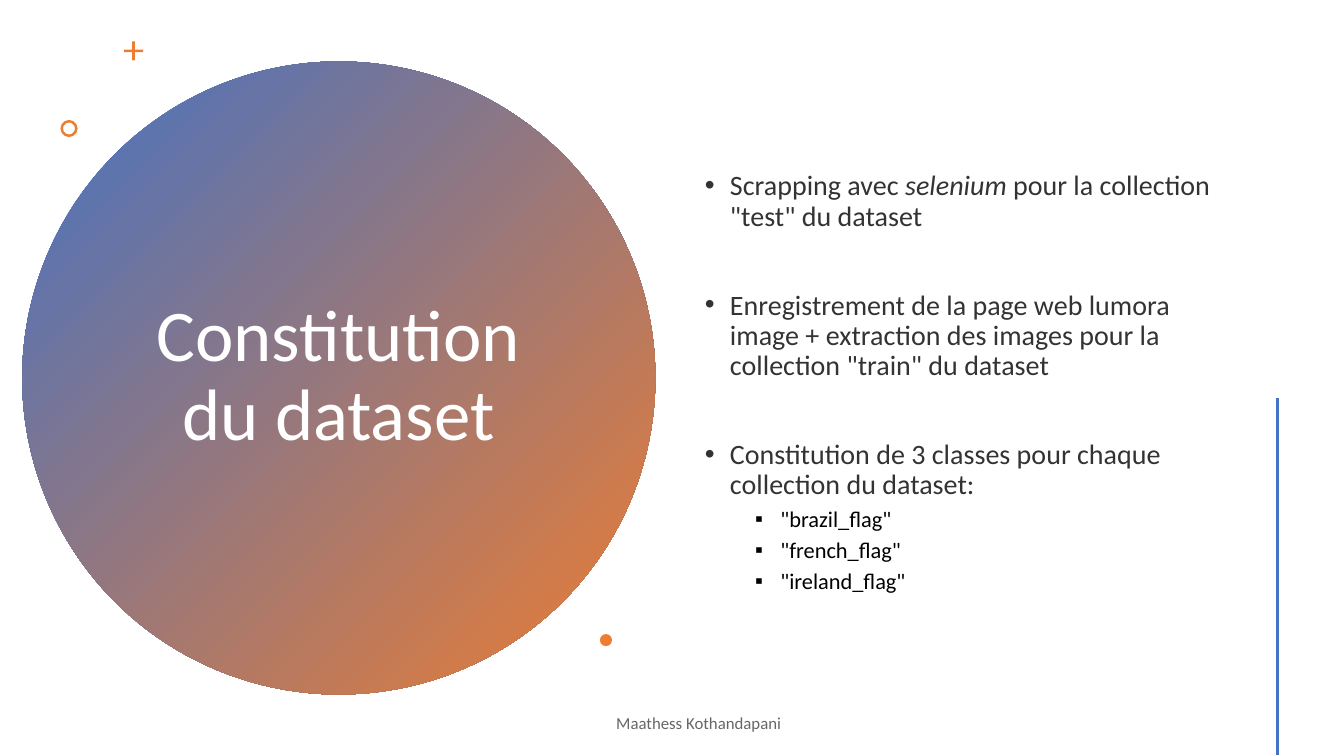
from lxml import etree
from pptx import Presentation
from pptx import util as u
from pptx.dml import color
from pptx.enum import shapes, text
from pptx.oxml import ns

BLUE, ORANGE = "4472C4", "ED7D31"
COLLECTION_STEPS = [
    ("Scrapping avec ", "*selenium ", 'pour la collection "test" du dataset'),
    ("Enregistrement de la page web lumora image + extraction des\u00a0images "
     'pour la collection "train" du dataset',),
    ("Constitution de 3 classes pour chaque collection du dataset:",),
]
FLAG_CLASSES = ["brazil_flag", "french_flag", "ireland_flag"]


def rgb(value):
    return color.RGBColor.from_string(value)


def apply(target, values):
    for name, value in values.items():
        setattr(target, name, value)


def place(box, left, top, width, height):
    apply(box, dict(left=u.Inches(left), top=u.Inches(top),
                    width=u.Inches(width), height=u.Inches(height)))


def prepare(frame, **values):
    apply(frame, dict(word_wrap=True, auto_size=text.MSO_AUTO_SIZE.NONE,
                      vertical_anchor=text.MSO_ANCHOR.MIDDLE, **values))


def write(paragraph, parts, size, hue, **spacing):
    apply(paragraph, dict(line_spacing=0.9, **spacing))
    for part in parts:
        run = paragraph.add_run()
        run.text = part.lstrip("*")
        apply(run.font, dict(name="Calibri", size=u.Pt(size), italic=part.startswith("*")))
        run.font.color.rgb = rgb(hue)


def add_bullet(paragraph, mark, margin):
    props = paragraph._p.get_or_add_pPr()
    props.set("marL", str(u.Inches(margin)))
    props.set("indent", str(u.Inches(-0.25)))
    etree.SubElement(props, ns.qn("a:buFont")).set("typeface", "Arial")
    etree.SubElement(props, ns.qn("a:buChar")).set("char", mark)


def add_ornament(slide, kind, left, top, size, adjustment=None):
    ornament = slide.shapes.add_shape(kind, *map(u.Inches, (left, top, size, size)))
    ornament.shadow.inherit = False
    ornament.line.fill.background()
    ornament.fill.solid()
    ornament.fill.fore_color.rgb = rgb(ORANGE)
    if adjustment is not None:
        ornament.adjustments[0] = adjustment
    return ornament


def add_disc(slide):
    disc = add_ornament(slide, shapes.MSO_SHAPE.OVAL, 0.22, 0.61, 6.28)
    disc.fill.gradient()
    disc.fill.gradient_angle = 315
    for stop, position, hue in zip(disc.fill.gradient_stops, (0, 1), (BLUE, ORANGE)):
        stop.position = position
        stop.color.rgb = rgb(hue)
    tree = slide.shapes._spTree
    tree.remove(disc._element)
    tree.insert(2, disc._element)


def add_title(slide):
    title = slide.shapes.title
    place(title, 1.36, 1.41, 3.99, 4.67)
    prepare(title.text_frame)
    write(title.text_frame.paragraphs[0], ["Constitution du dataset"], 52, "FFFFFF",
          alignment=text.PP_ALIGN.CENTER)


def add_steps(slide):
    body = slide.placeholders[1]
    place(body, 6.89, 0.76, 5.22, 6.38)
    frame = body.text_frame
    prepare(frame, margin_bottom=u.Inches(0.35))
    for index, parts in enumerate(COLLECTION_STEPS):
        step = frame.add_paragraph() if index else frame.paragraphs[0]
        write(step, parts, 20, "333333", space_before=u.Pt(42 if index else 10))
        add_bullet(step, "\u2022", 0.25)
    for name in FLAG_CLASSES:
        flag = frame.add_paragraph()
        write(flag, [f'"{name}"'], 16, "000000", level=1, space_before=u.Pt(5))
        add_bullet(flag, "\u25aa", 0.75)


def add_side_rule(slide):
    rule = slide.shapes.add_connector(
        shapes.MSO_CONNECTOR.STRAIGHT, *map(u.Inches, (12.67, 3.95, 12.67, 7.49)))
    rule.line.color.rgb = rgb(BLUE)
    rule.line.width = u.Pt(2)
    etree.SubElement(rule._element.spPr, ns.qn("a:effectLst"))


def add_author(slide):
    author = slide.shapes.add_textbox(*map(u.Inches, (4.99, 6.98, 3.88, 0.4)))
    prepare(author.text_frame)
    write(author.text_frame.paragraphs[0], ["Maathess Kothandapani"], 12, "666666",
          alignment=text.PP_ALIGN.CENTER, space_after=u.Pt(6))


def main():
    deck = Presentation()
    apply(deck, dict(slide_width=u.Inches(13.33), slide_height=u.Inches(7.5)))
    slide = deck.slides.add_slide(deck.slide_layouts[1])
    add_disc(slide)
    add_title(slide)
    add_ornament(slide, shapes.MSO_SHAPE.CROSS, 1.23, 0.41, 0.19, 0.43)
    add_ornament(slide, shapes.MSO_SHAPE.DONUT, 0.6, 1.19, 0.17, 0.15)
    add_steps(slide)
    add_ornament(slide, shapes.MSO_SHAPE.OVAL, 5.95, 6.29, 0.12)
    add_side_rule(slide)
    add_author(slide)
    deck.save("out.pptx")


main()
